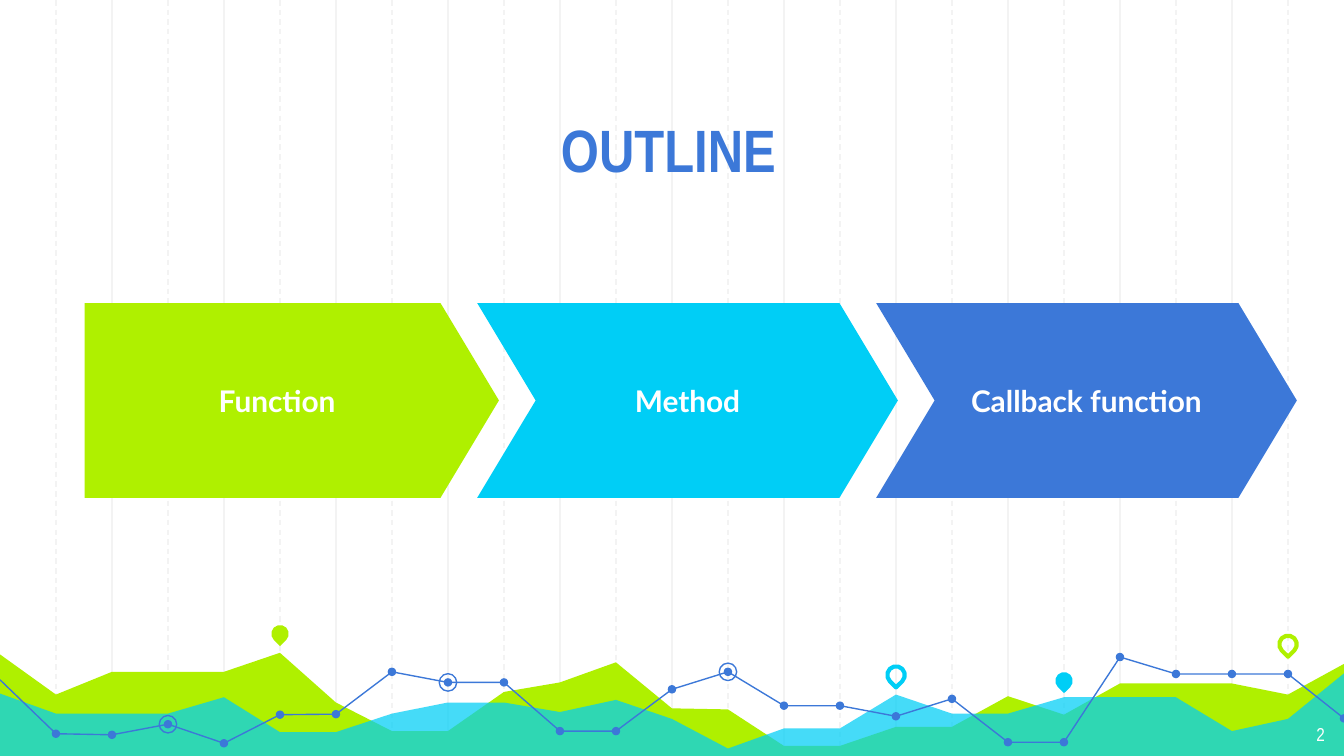
from lxml import etree
from pptx import Presentation
from pptx.dml.color import RGBColor
from pptx.enum.dml import MSO_LINE_DASH_STYLE as Dash
from pptx.enum.shapes import MSO_CONNECTOR as Connector, MSO_SHAPE as Preset
from pptx.enum.text import MSO_ANCHOR as Anchor, MSO_AUTO_SIZE as AutoSize, PP_ALIGN as Align
from pptx.oxml.ns import qn
from pptx.util import Cm, Pt

WIDTH, HEIGHT, COLUMNS = 25.4, 14.29, 24
GREEN, CYAN, BLUE, WHITE, GREY = "AFF000", "00CEF6", "3C78D8", "FFFFFF", "F3F3F3"

GREEN_HILLS = {
    0: 0.37, 1: 1.13, 2: 0.7, 4: 0.7, 5: 0.34, 6: 1.28, 7: 1.82, 8: 1.82,
    9: 1.08, 10: 0.9, 11: 0.52, 12: 1.39, 13: 1.41, 14: 2.1, 15: 2.1, 16: 1.74,
    17: 1.74, 18: 1.16, 19: 1.51, 20: 0.92, 22: 0.92, 23: 1.13, 24: 0.55,
}
CYAN_HILLS = {
    0: 1.11, 1: 1.49, 3: 1.49, 4: 1.18, 5: 1.84, 6: 1.84, 7: 1.49, 8: 1.28,
    9: 1.28, 10: 1.46, 11: 1.23, 12: 1.59, 13: 2.15, 14: 1.77, 15: 1.77, 16: 1.13,
    17: 1.49, 18: 1.49, 19: 1.18, 21: 1.18, 22: 1.82, 23: 1.59, 24: 0.73,
}
TREND = [
    0.85, 1.87, 1.89, 1.69, 2.05, 1.51, 1.5, 0.7, 0.9, 0.9, 1.82, 1.82, 1.03,
    0.7, 1.34, 1.34, 1.54, 1.21, 2.03, 2.03, 0.42, 0.74, 0.74, 0.74, 1.58,
]
TREND_PIECES = [(0, 11), (11, 20), (20, 24)]
RINGED_COLUMNS = [3, 8, 13]
PINS = [
    (5, -0.02, GREEN, True),
    (16, 0.76, CYAN, False),
    (19, 0.87, CYAN, True),
    (23, 0.18, GREEN, False),
]
STEPS = [("Function", GREEN), ("Method", CYAN), ("Callback function", BLUE)]


def color(value):
    return RGBColor.from_string(value)


def style(shape, fill=None, line=None, weight=0.75, alpha=None):
    shape.shadow.inherit = False
    if fill:
        shape.fill.solid()
        shape.fill.fore_color.rgb = color(fill)
    else:
        shape.fill.background()
    if alpha:
        paint = shape.element.spPr.find(qn("a:solidFill"))[0]
        etree.SubElement(paint, qn("a:alpha"), val=str(alpha * 1000))
    if line:
        shape.line.color.rgb = color(line)
        shape.line.width = Pt(weight)
    else:
        shape.line.fill.background()


def write(shape, text, size, font, ink, align, anchor, bold=False):
    frame = shape.text_frame
    frame_format = {
        "word_wrap": True, "auto_size": AutoSize.NONE, "vertical_anchor": anchor,
        "margin_left": Cm(0.25), "margin_right": Cm(0.25),
        "margin_top": Cm(0.25), "margin_bottom": Cm(0.25),
    }
    for name, value in frame_format.items():
        setattr(frame, name, value)
    para = frame.paragraphs[0]
    para.alignment = align
    span = para.add_run()
    span.text = text
    for name, value in {"size": Pt(size), "name": font, "bold": bold}.items():
        setattr(span.font, name, value)
    span.font.color.rgb = color(ink)


def add_centred(shapes, preset, x, y, size):
    corner = Cm(x - size / 2), Cm(y - size / 2)
    return shapes.add_shape(preset, *corner, Cm(size), Cm(size))


def add_path(page, points, close):
    points = [(Cm(x), Cm(y)) for x, y in points]
    builder = page.shapes.build_freeform(*points[0])
    builder.add_line_segments(points[1:], close=close)
    return builder.convert_to_shape()


def add_grid(page, box):
    left, top, width, height = box
    group = page.shapes.add_group_shape()
    for column in range(1, COLUMNS):
        x = Cm(left + column * width / COLUMNS)
        rule = group.shapes.add_connector(
            Connector.STRAIGHT, x, Cm(top), x, Cm(top + height))
        rule.line.color.rgb = color(GREY)
        rule.line.width = Pt(0.75)
        if column % 2:
            rule.line.dash_style = Dash.DASH
        etree.SubElement(rule.element.spPr, qn("a:effectLst"))


def add_landscape(page, box):
    left, top, width, height = box

    def place(column, y):
        return left + column * width / COLUMNS, top + y

    for hills, fill, alpha in [(GREEN_HILLS, GREEN, None), (CYAN_HILLS, CYAN, 73)]:
        ridge = [place(column, y) for column, y in hills.items()]
        base = [place(COLUMNS, height), place(0, height)]
        style(add_path(page, ridge + base, True), fill, alpha=alpha)

    for column, y, tint, solid in PINS:
        pin = add_centred(page.shapes, Preset.TEAR, *place(column, y), 0.33)
        pin.rotation = 135
        if solid:
            style(pin, tint)
        else:
            style(pin, line=tint, weight=2.25)

    stops = [place(column, y) for column, y in enumerate(TREND)]
    for first, last in TREND_PIECES:
        style(add_path(page, stops[first:last + 1], False), line=BLUE)
    dots = page.shapes.add_group_shape()
    for stop in stops[1:]:
        style(add_centred(dots.shapes, Preset.OVAL, *stop, 0.16), BLUE)
    for column in RINGED_COLUMNS:
        style(add_centred(page.shapes, Preset.OVAL, *stops[column], 0.33), line=BLUE)


def add_title(page, box):
    title = page.shapes.title
    title.element.getparent().append(title.element)
    for name, value in zip(("left", "top", "width", "height"), box):
        setattr(title, name, Cm(value))
    write(title, "OUTLINE", 32, "Arial Narrow", BLUE, Align.CENTER, Anchor.BOTTOM, True)


def add_steps(page, box):
    left, top, width, height = box
    pitch, chevron_width = 7.54, 7.95
    for index, (label, fill) in enumerate(STEPS):
        right = left + width - (len(STEPS) - 1 - index) * pitch
        start = right - chevron_width if index else left
        preset = Preset.CHEVRON if index else Preset.PENTAGON
        step = page.shapes.add_shape(
            preset, Cm(start), Cm(top), Cm(right - start), Cm(height))
        step.adjustments[0] = 0.3
        style(step, fill)
        write(step, label, 16, "Lato", WHITE, Align.CENTER, Anchor.MIDDLE, True)


def add_page_number(page, box):
    number = page.shapes.add_textbox(*map(Cm, box))
    write(number, "2", 10, "Arial Narrow", WHITE, Align.RIGHT, Anchor.TOP)


def main():
    deck = Presentation()
    deck.slide_width, deck.slide_height = Cm(WIDTH), Cm(HEIGHT)
    page = deck.slides.add_slide(deck.slide_layouts.get_by_name("Title Only"))
    page.background.fill.solid()
    page.background.fill.fore_color.rgb = color(WHITE)
    add_grid(page, (0, 0, WIDTH, 14.35))
    add_landscape(page, (0, 12, WIDTH, 2.34))
    add_title(page, (2.92, 1.75, 19.43, 1.98))
    add_steps(page, (1.6, 5.73, 22.91, 3.68))
    add_page_number(page, (23.77, 13.41, 1.52, 0.89))
    deck.save("out.pptx")


if __name__ == "__main__":
    main()
